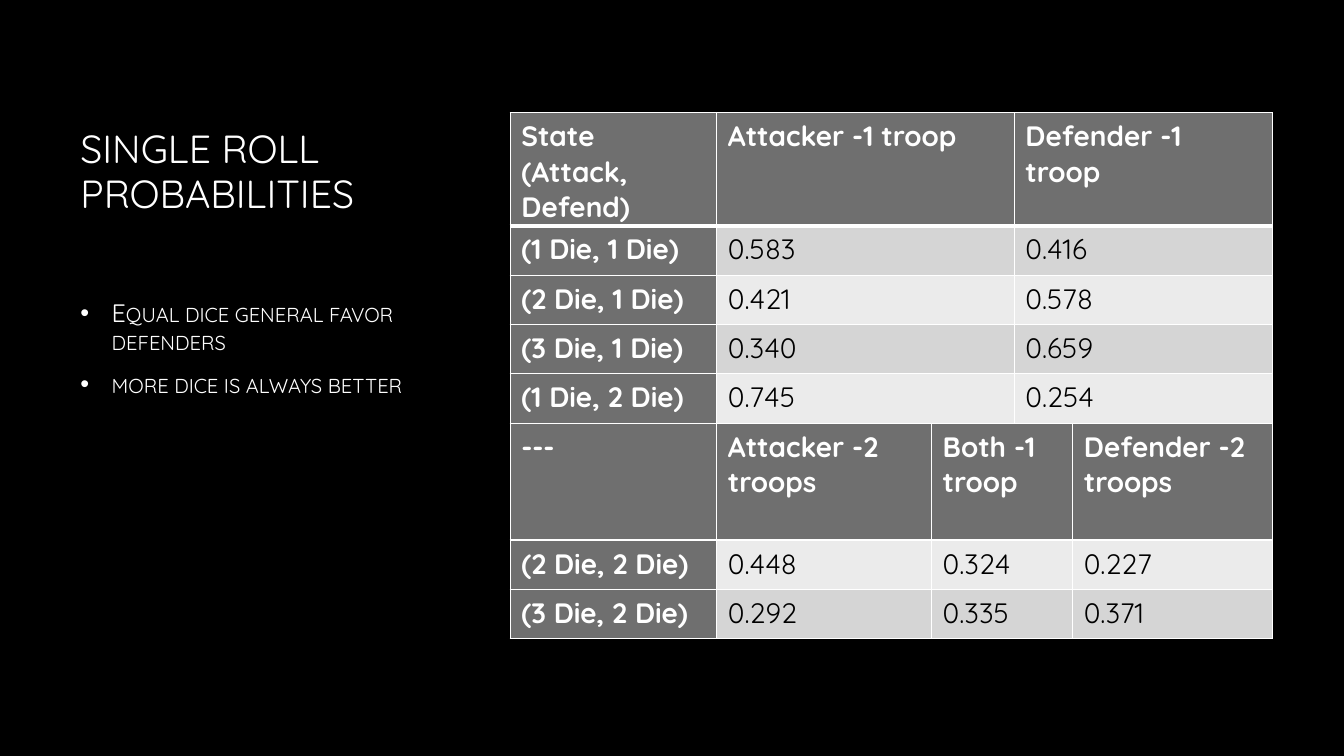
from lxml import etree
from pptx import Presentation
from pptx.dml.color import RGBColor
from pptx.enum.text import MSO_ANCHOR
from pptx.oxml.ns import qn
from pptx.util import Inches, Pt

TOP, MID = MSO_ANCHOR.TOP, MSO_ANCHOR.MIDDLE
FONT = "Quicksand"
HUES = {"back": "000000", "text": "FFFFFF", "ink": "000000",
        "head": "6F6F6F", "dark": "D5D5D5", "light": "EBEBEB"}
PAD = {"margin_left": Inches(0.11), "margin_right": Inches(0.11),
       "margin_top": Inches(0.06), "margin_bottom": Inches(0.06)}
EDGES = ("lnL", "lnR", "lnT", "lnB")

# Table: one tuple per row as (fill of the values, texts)
ROWS = [
    ("head", "State (Attack, Defend)", "Attacker -1 troop", "Defender -1 troop"),
    ("dark", "(1 Die, 1 Die)", "0.583", "0.416"),
    ("light", "(2 Die, 1 Die)", "0.421", "0.578"),
    ("dark", "(3 Die, 1 Die)", "0.340", "0.659"),
    ("light", "(1 Die, 2 Die)", "0.745", "0.254"),
    ("head", "---", "Attacker -2 troops", "Both -1 troop", "Defender -2 troops"),
    ("light", "(2 Die, 2 Die)", "0.448", "0.324", "0.227"),
    ("dark", "(3 Die, 2 Die)", "0.292", "0.335", "0.371"),
]
# First and last column of each text, by number of texts in the row
SPANS = {3: [(0, 0), (1, 2), (3, 4)], 4: [(0, 0), (1, 1), (2, 3), (4, 4)]}
WIDE = [15.38, 15.98, 6.15, 4.35, 14.85]
TALL = [10.93] + [6.53] * 4 + [15.47] + [6.53] * 2
POINTS = ["Equal dice general favor defenders", "more dice is always better"]


def put(item, vals):
    for name, val in vals.items():
        setattr(item, name, val)


class Deck:
    """Lengths are given in percent of the slide's width and height."""

    def __init__(self):
        self.show = Presentation()
        put(self.show, {"slide_width": Inches(13.33), "slide_height": Inches(7.5)})
        self.slide = self.show.slides.add_slide(self.show.slide_layouts[6])
        self.fill(self.slide.background, "back")

    def x(self, part):
        return round(self.show.slide_width * part / 100)

    def y(self, part):
        return round(self.show.slide_height * part / 100)

    def box(self, x, y, w, h):
        return self.x(x), self.y(y), self.x(w), self.y(h)

    def fill(self, item, hue):
        item.fill.solid()
        item.fill.fore_color.rgb = RGBColor.from_string(HUES[hue])

    def run(self, para, text, size, hue="text", bold=False):
        run = para.add_run()
        run.text = text
        put(run.font, {"name": FONT, "size": Pt(size), "bold": bold})
        run.font.color.rgb = RGBColor.from_string(HUES[hue])
        return run

    def text(self, area, lines, size, anchor=TOP, dots=False):
        frame = self.slide.shapes.add_textbox(*self.box(*area)).text_frame
        put(frame, {"word_wrap": True, "vertical_anchor": anchor})
        for i, line in enumerate(lines):
            para = frame.add_paragraph() if i else frame.paragraphs[0]
            para.line_spacing = 0.95
            run = self.run(para, line, size)
            if dots:
                put(para, {"space_before": Pt(3.6), "space_after": Pt(6)})
                self.dot(para, run)

    def dot(self, para, run):
        props = para._p.get_or_add_pPr()
        props.set("marL", str(Inches(0.31)))
        props.set("indent", str(-Inches(0.31)))
        etree.SubElement(props, qn("a:buFont")).set("typeface", "Arial")
        etree.SubElement(props, qn("a:buChar")).set("char", "•")
        run.font._element.set("cap", "small")

    def edge(self, cell, head):
        props = cell._tc.get_or_add_tcPr()
        for side in EDGES:
            thick = 3 if head and side == "lnB" else 1
            line = etree.SubElement(props, qn("a:" + side), w=str(Pt(thick)))
            paint = etree.SubElement(line, qn("a:solidFill"))
            etree.SubElement(paint, qn("a:srgbClr"), val=HUES["text"])

    def table(self, x, y):
        area = self.box(x, y, sum(WIDE), sum(TALL))
        grid = self.slide.shapes.add_table(len(TALL), len(WIDE), *area).table
        for col, wide in zip(grid.columns, WIDE):
            col.width = self.x(wide)
        for r, (tone, *texts) in enumerate(ROWS):
            grid.rows[r].height = self.y(TALL[r])
            for text, (start, end) in zip(texts, SPANS[len(texts)]):
                head = tone == "head" or start == 0
                for c in range(start, end + 1):
                    cell = grid.cell(r, c)
                    put(cell, PAD)
                    self.edge(cell, r == 0)
                    self.fill(cell, "head" if head else tone)
                cell = grid.cell(r, start)
                if end > start:
                    cell.merge(grid.cell(r, end))
                para = cell.text_frame.paragraphs[0]
                self.run(para, text, 20, "text" if head else "ink", head)


def main():
    deck = Deck()
    # Title and points
    deck.text((5.25, 8.93, 29.86, 27.73), ["SINGLE ROLL PROBABILITIES"], 28, MID)
    deck.text((5.25, 38.93, 29.86, 46.93), POINTS, 18, dots=True)
    # Odds
    deck.table(37.96, 14.93)
    deck.show.save("out.pptx")


if __name__ == "__main__":
    main()
